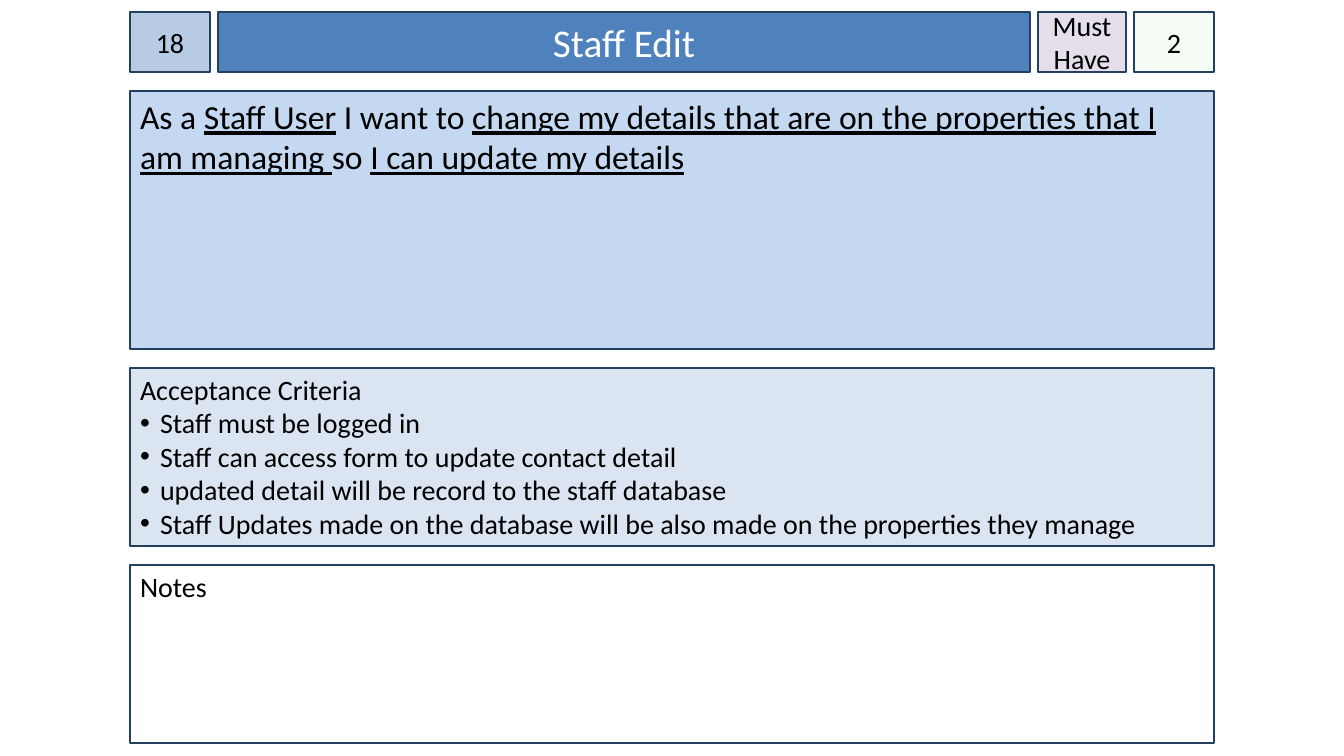
from lxml import etree
from pptx import Presentation
from pptx import util as u
from pptx.dml.color import RGBColor
from pptx.enum import shapes, text
from pptx.oxml.ns import qn

SCALE = 914400 / 100.8
COLORS = {
    "border": "244061", "ink": "000000", "white": "FFFFFF",
    "number": "B7CCE4", "title": "4F81BD", "priority": "E5DFEC",
    "points": "CCF0CD", "story": "C5D8F1", "criteria": "DAE5F1",
}


def px(pixels):
    return u.Emu(round(pixels * SCALE))


def add_box(left, top, width, height, fill, paragraphs, size, ink="ink",
            centred=False, side=10, upper=5):
    """Add a bordered box; each paragraph is a list of (words, underlined)."""
    box = page.shapes.add_shape(shapes.MSO_SHAPE.RECTANGLE,
                                px(left), px(top), px(width), px(height))
    box.shadow.inherit = False
    box.fill.solid()
    box.fill.fore_color.rgb = RGBColor.from_string(COLORS[fill])
    box.line.color.rgb = RGBColor.from_string(COLORS["border"])
    box.line.width = u.Pt(2)
    frame = box.text_frame
    frame.word_wrap = True
    frame.margin_left = frame.margin_right = px(side)
    frame.margin_top, frame.margin_bottom = px(upper), px(5)
    anchors = text.MSO_ANCHOR
    frame.vertical_anchor = anchors.MIDDLE if centred else anchors.TOP
    for index, spans in enumerate(paragraphs):
        para = frame.add_paragraph() if index else frame.paragraphs[0]
        para.alignment = text.PP_ALIGN.CENTER if centred else text.PP_ALIGN.LEFT
        for words, underlined in spans:
            span = para.add_run()
            span.text = words
            span.font.name = "Calibri"
            span.font.size = u.Pt(size)
            span.font.underline = underlined
            span.font.color.rgb = RGBColor.from_string(COLORS[ink])
    return box


deck = Presentation()
deck.slide_width, deck.slide_height = px(1344), px(756)
page = deck.slides.add_slide(deck.slide_layouts[6])

LEFT, WIDTH = 130, 1084
HEADER_GAP, ROW_GAP = 8, 19

# Header row: story number, title, priority, points
header = [
    (80, "number", "18", 20, "ink", 0),
    (812, "title", "Staff Edit", 28, "white", 10),
    (88, "priority", "Must Have", 20, "ink", 0),
    (80, "points", "2", 20, "ink", 0),
]
top, header_height = 12, 60
left = LEFT
for width, fill, words, size, ink, side in header:
    box = add_box(left, top, width, header_height, fill, [[(words, False)]],
                  size, ink, centred=True, side=side)
    if fill == "points":
        tint = box.fill._xPr.find(qn("a:solidFill"))[0]
        etree.SubElement(tint, qn("a:alpha"), val="20000")
    left += width + HEADER_GAP
top += header_height + ROW_GAP

# Stacked panels: story, acceptance criteria, notes
story = [[
    ("As a ", False), ("Staff User", True), (" I want to ", False),
    ("change my details that are on the properties that I am managing ", True),
    ("so ", False), ("I can update my details", True),
]]
criteria = [[(line, False)] for line in (
    "Acceptance Criteria",
    "Staff must be logged in",
    "Staff can access form to update contact detail",
    "updated detail will be record to the staff database",
    "Staff Updates made on the database will be also made on the properties they manage",
)]
panels = [
    (258, "story", story, 24, 5),
    (178, "criteria", criteria, 20, 4),
    (178, "white", [[("Notes", False)]], 20, 4),
]
for height, fill, paragraphs, size, upper in panels:
    box = add_box(LEFT, top, WIDTH, height, fill, paragraphs, size, upper=upper)
    top += height + ROW_GAP
    # Bullets below the heading
    for para in box.text_frame.paragraphs[1:]:
        props = para._p.get_or_add_pPr()
        props.set("marL", str(px(20)))
        props.set("indent", str(px(-20)))
        bullet_color = etree.SubElement(props, qn("a:buClr"))
        etree.SubElement(bullet_color, qn("a:srgbClr"), val=COLORS["ink"])
        etree.SubElement(props, qn("a:buFont"), typeface="Arial")
        etree.SubElement(props, qn("a:buChar"), char="•")

deck.save("out.pptx")
